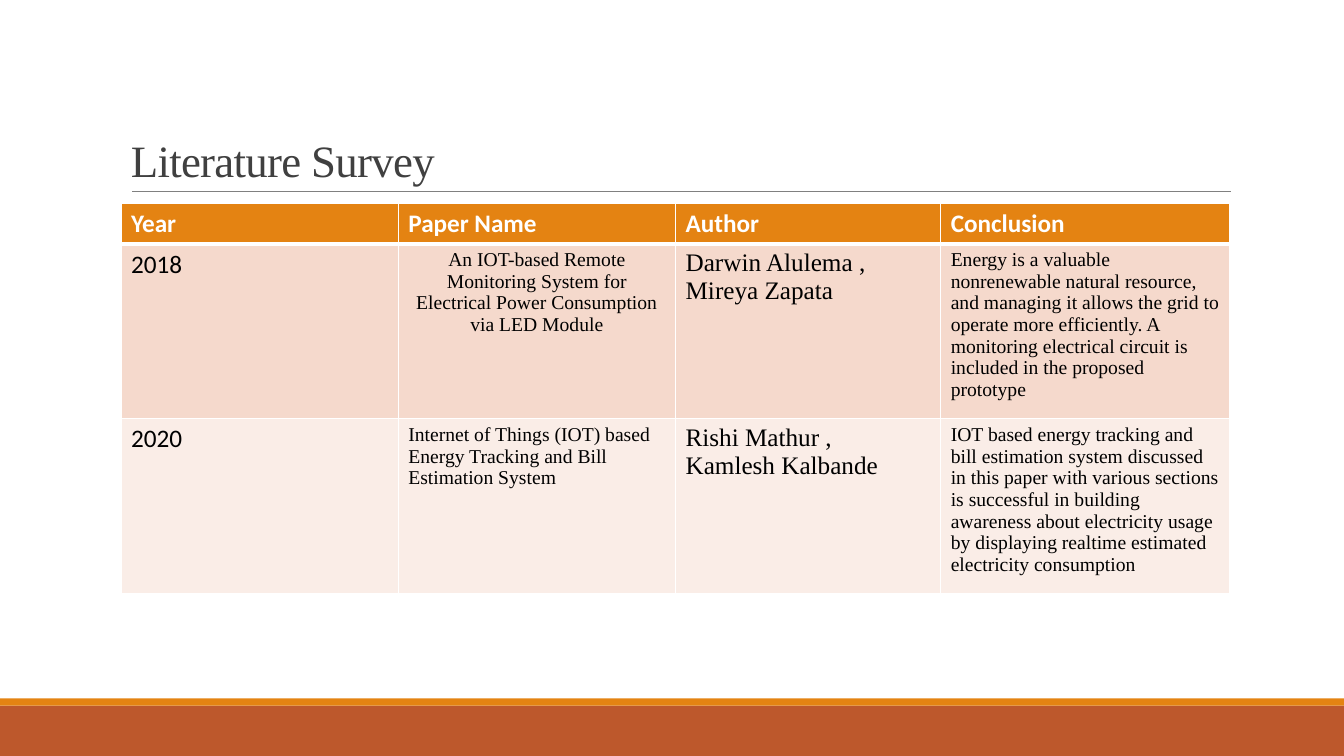
from lxml import etree
from pptx import Presentation
from pptx.dml.color import RGBColor
from pptx.enum.shapes import MSO_CONNECTOR, MSO_SHAPE
from pptx.enum.text import MSO_ANCHOR, PP_ALIGN
from pptx.oxml.ns import qn
from pptx.util import Inches, Pt

WHITE = RGBColor(0xFF, 0xFF, 0xFF)
BLACK = RGBColor(0, 0, 0)
ORANGE = RGBColor(0xE4, 0x83, 0x12)
RUST = RGBColor(0xBD, 0x58, 0x2C)
GRAY = RGBColor(0x80, 0x80, 0x80)
DARK = RGBColor(0x40, 0x40, 0x40)
PEACH = RGBColor(0xF5, 0xD9, 0xCC)
PALE = RGBColor(0xFA, 0xED, 0xE7)
SERIF = "Times New Roman"

HEAD = {"name": "Calibri", "size": Pt(18), "bold": True}
YEAR = {"name": "Calibri", "size": Pt(18), "bold": False}
BODY = {"name": SERIF, "size": Pt(14), "bold": False}
NAMES = {"name": SERIF, "size": Pt(18), "bold": False}


def style(font, color, looks):
    for key, value in looks.items():
        setattr(font, key, value)
    font.color.rgb = color


def border(cell, side, width):
    line = etree.SubElement(cell._tc.get_or_add_tcPr(), qn(f"a:ln{side}"), w=str(Pt(width)))
    fill = etree.SubElement(line, qn("a:solidFill"))
    etree.SubElement(fill, qn("a:srgbClr"), val=str(WHITE))


deck = Presentation()
deck.slide_width = Inches(13.33)
deck.slide_height = Inches(7.5)
slide = deck.slides.add_slide(deck.slide_layouts[6])
shapes = slide.shapes

for top, height, color in [(7, 0.5, RUST), (6.93, 0.07, ORANGE)]:
    band = shapes.add_shape(MSO_SHAPE.RECTANGLE, 0, Inches(top), deck.slide_width, Inches(height))
    band.shadow.inherit = False
    band.fill.solid()
    band.fill.fore_color.rgb = color
    band.line.fill.background()

rule = shapes.add_connector(MSO_CONNECTOR.STRAIGHT, Inches(1.31), Inches(1.9), Inches(12.21), Inches(1.9))
rule.line.color.rgb = GRAY
rule.line.width = Pt(0.5)
etree.SubElement(rule._element.spPr, qn("a:effectLst"))

title = shapes.add_textbox(Inches(1.2), Inches(0.31), Inches(11), Inches(1.59)).text_frame
title.word_wrap = True
title.vertical_anchor = MSO_ANCHOR.BOTTOM
para = title.paragraphs[0]
para.line_spacing = 0.85
run = para.add_run()
run.text = "Literature Survey"
style(run.font, DARK, {"name": SERIF, "size": Pt(32)})
run.font._element.set("spc", "-50")

rows = [
    ["Year", "Paper Name", "Author", "Conclusion"],
    [
        "2018",
        "An IOT-based Remote Monitoring System for\nElectrical Power Consumption via LED Module",
        "Darwin Alulema ,\nMireya Zapata",
        "Energy is a valuable nonrenewable natural resource, and managing it allows the grid "
        "to operate more efficiently. A monitoring electrical circuit is included in the "
        "proposed prototype",
    ],
    [
        "2020",
        "Internet of Things (IOT) based Energy Tracking and Bill Estimation System",
        "Rishi Mathur ,\nKamlesh Kalbande",
        "IOT based energy tracking and bill estimation system discussed in this paper with "
        "various sections is successful in building awareness about electricity usage by "
        "displaying realtime estimated electricity consumption",
    ],
]
fills = [ORANGE, PEACH, PALE]
looks = [[HEAD] * 4] + [[YEAR, BODY, NAMES, BODY]] * 2

table = shapes.add_table(3, 4, Inches(1.2), Inches(2.02), Inches(11), Inches(3.61)).table
for col, width in zip(table.columns, [2.75, 2.75, 2.63, 2.87]):
    col.width = Inches(width)
for row, height in zip(table.rows, [0.4, 1.61, 1.6]):
    row.height = Inches(height)

for r, texts in enumerate(rows):
    for c, text in enumerate(texts):
        cell = table.cell(r, c)
        widths = {"L": 1, "R": 1, "T": 3 if r == 1 else 1, "B": 3 if r == 0 else 1}
        for side, width in widths.items():
            border(cell, side, width)
        cell.fill.solid()
        cell.fill.fore_color.rgb = fills[r]
        cell.text = text
        for para in cell.text_frame.paragraphs:
            para.alignment = PP_ALIGN.CENTER if (r, c) == (1, 1) else PP_ALIGN.LEFT
            style(para.runs[0].font, BLACK if r else WHITE, looks[r][c])

deck.save("out.pptx")
